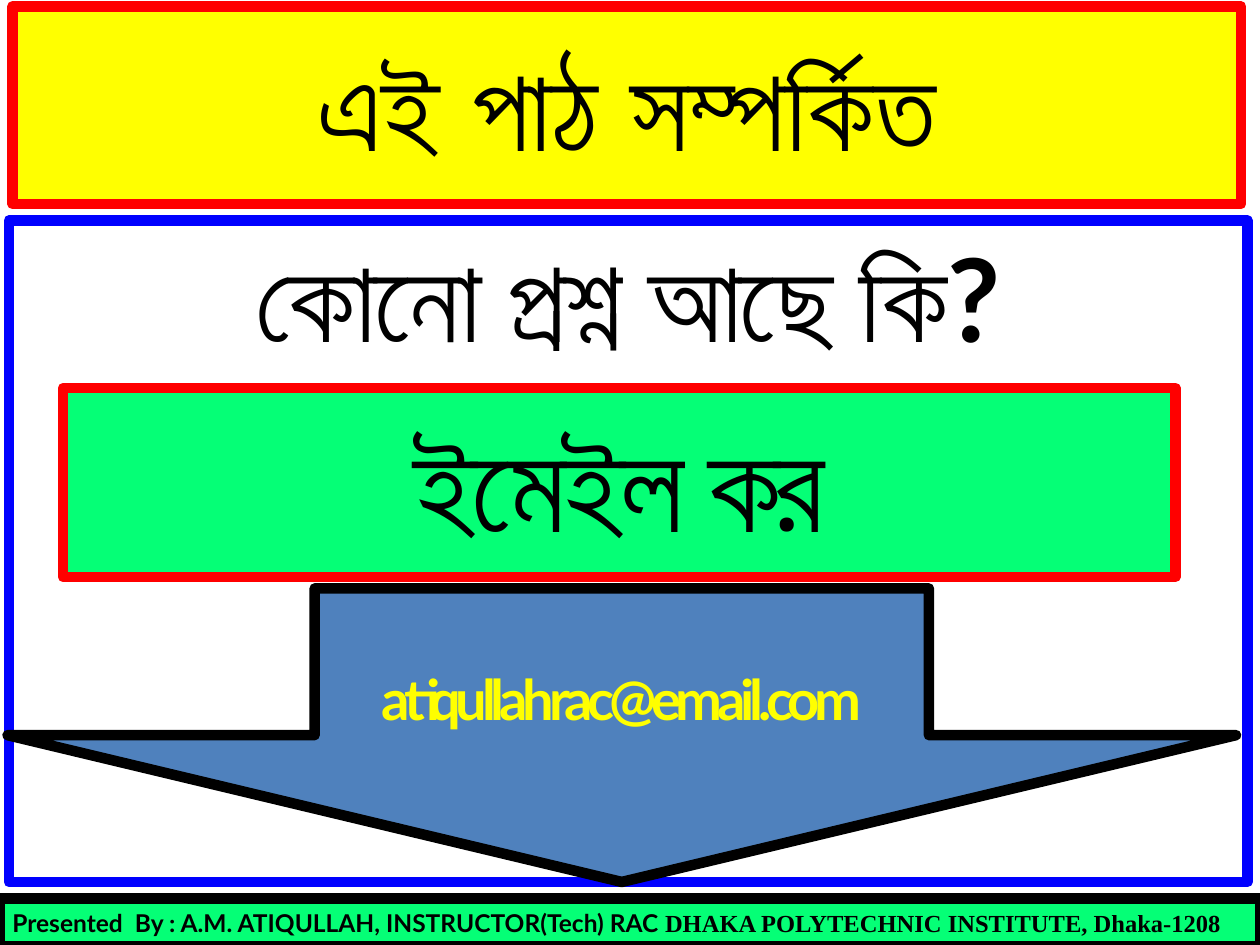
from typing import NamedTuple

from lxml.etree import SubElement
from pptx import Presentation
from pptx.dml.color import RGBColor
from pptx.enum.shapes import MSO_SHAPE
from pptx.enum.text import MSO_ANCHOR, MSO_AUTO_SIZE, PP_ALIGN
from pptx.oxml.ns import qn
from pptx.shapes.autoshape import Shape
from pptx.util import Inches, Pt

BLACK, WHITE, RED, BLUE = "000000", "FFFFFF", "FF0000", "0000FF"
YELLOW, GREEN, STEEL = "FFFF00", "05FF76", "4F81BD"


class Panel(NamedTuple):
    box: tuple[float, float, float, float]
    fill: str
    line: str
    runs: list[tuple[str, str]]
    size: int
    ink: str = BLACK
    track: float = 0
    before: float = 0
    align: PP_ALIGN = PP_ALIGN.CENTER
    anchor: MSO_ANCHOR = MSO_ANCHOR.MIDDLE
    kind: MSO_SHAPE = MSO_SHAPE.RECTANGLE


TITLE = Panel((0.1, 0.05, 9.75, 1.57), YELLOW, RED,
              [("এই পাঠ সম্পর্কিত", "Lato")], 66)
BODY = Panel((0.07, 1.75, 9.83, 5.25), WHITE, BLUE,
             [("কোনো প্রশ্ন আছে কি?", "Lato")], 66,
             track=-1.5, before=0.2, anchor=MSO_ANCHOR.TOP)
SHAPES = [
    Panel((0, 7.13, 10, 0.38), GREEN, BLACK,
          [("Presented  By : A.M. ATIQULLAH, INSTRUCTOR(Tech) RAC ", "Lato"),
           ("DHAKA POLYTECHNIC INSTITUTE, Dhaka-1208", "Times New Roman")],
          14, align=PP_ALIGN.LEFT),
    Panel((0.5, 3.08, 8.83, 1.5), GREEN, RED,
          [("ইমেইল কর", "Lato")], 72, track=-3, before=0.2),
    Panel((0.06, 4.67, 9.75, 2.33), STEEL, BLACK,
          [("atiqullahrac@email.com", "Lato")], 32,
          ink=YELLOW, track=-3, before=0.2, kind=MSO_SHAPE.DOWN_ARROW),
]


def color(code: str) -> RGBColor:
    return RGBColor.from_string(code)


def apply(target: object, values: dict) -> None:
    """Set each named attribute on the target."""
    for name, value in values.items():
        setattr(target, name, value)


def write(shape: Shape, panel: Panel) -> None:
    frame = shape.text_frame
    apply(frame, {"word_wrap": True, "auto_size": MSO_AUTO_SIZE.NONE,
                  "vertical_anchor": panel.anchor})
    para = frame.paragraphs[0]
    apply(para, {"alignment": panel.align,
                 "space_before": Pt(round(panel.size * panel.before))})
    for text, face in panel.runs:
        run = para.add_run()
        run.text = text
        apply(run.font, {"name": face, "size": Pt(panel.size), "bold": True})
        run.font.color.rgb = color(panel.ink)
        if panel.track:
            run.font._element.set("spc", str(int(panel.track * 100)))


def dress(shape: Shape, panel: Panel) -> None:
    """Place, paint and fill a shape from its panel."""
    sides = ("left", "top", "width", "height")
    apply(shape, dict(zip(sides, map(Inches, panel.box))))
    shape.shadow.inherit = False
    shape.fill.solid()
    shape.fill.fore_color.rgb = color(panel.fill)
    shape.line.color.rgb = color(panel.line)
    shape.line.width = Pt(6)
    write(shape, panel)


def unlist(shape: Shape) -> None:
    """Drop the bullet and its indent."""
    props = shape.text_frame.paragraphs[0]._p.get_or_add_pPr()
    for name in ("marL", "indent"):
        props.set(name, "0")
    SubElement(props, qn("a:buNone"))


def main() -> None:
    deck = Presentation()
    apply(deck, {"slide_width": Inches(10), "slide_height": Inches(7.5)})
    slide = deck.slides.add_slide(deck.slide_layouts[1])
    body = slide.placeholders[1]
    dress(slide.shapes.title, TITLE)
    dress(body, BODY)
    unlist(body)
    for panel in SHAPES:
        box = map(Inches, panel.box)
        dress(slide.shapes.add_shape(panel.kind, *box), panel)
    deck.save("out.pptx")


if __name__ == "__main__":
    main()
